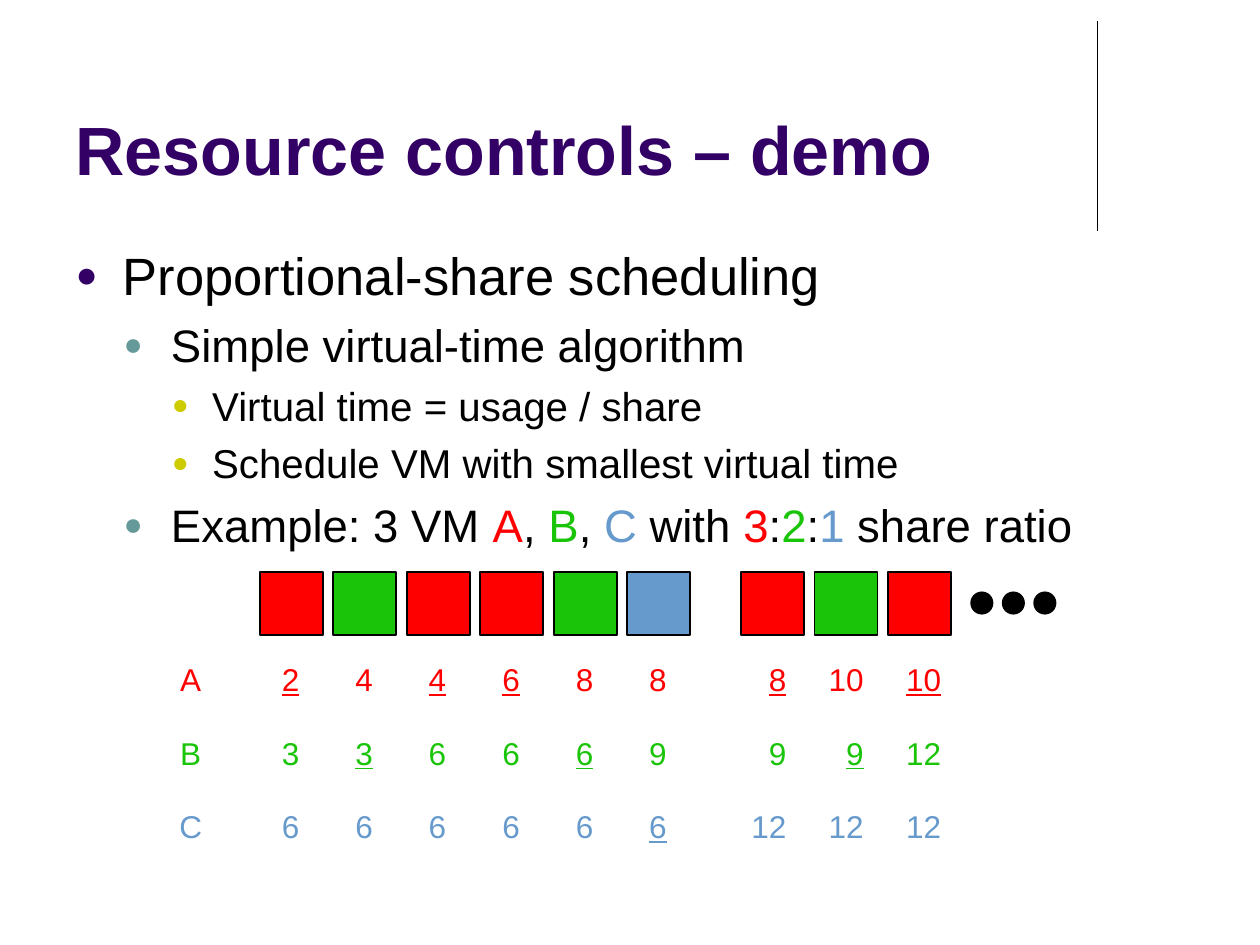
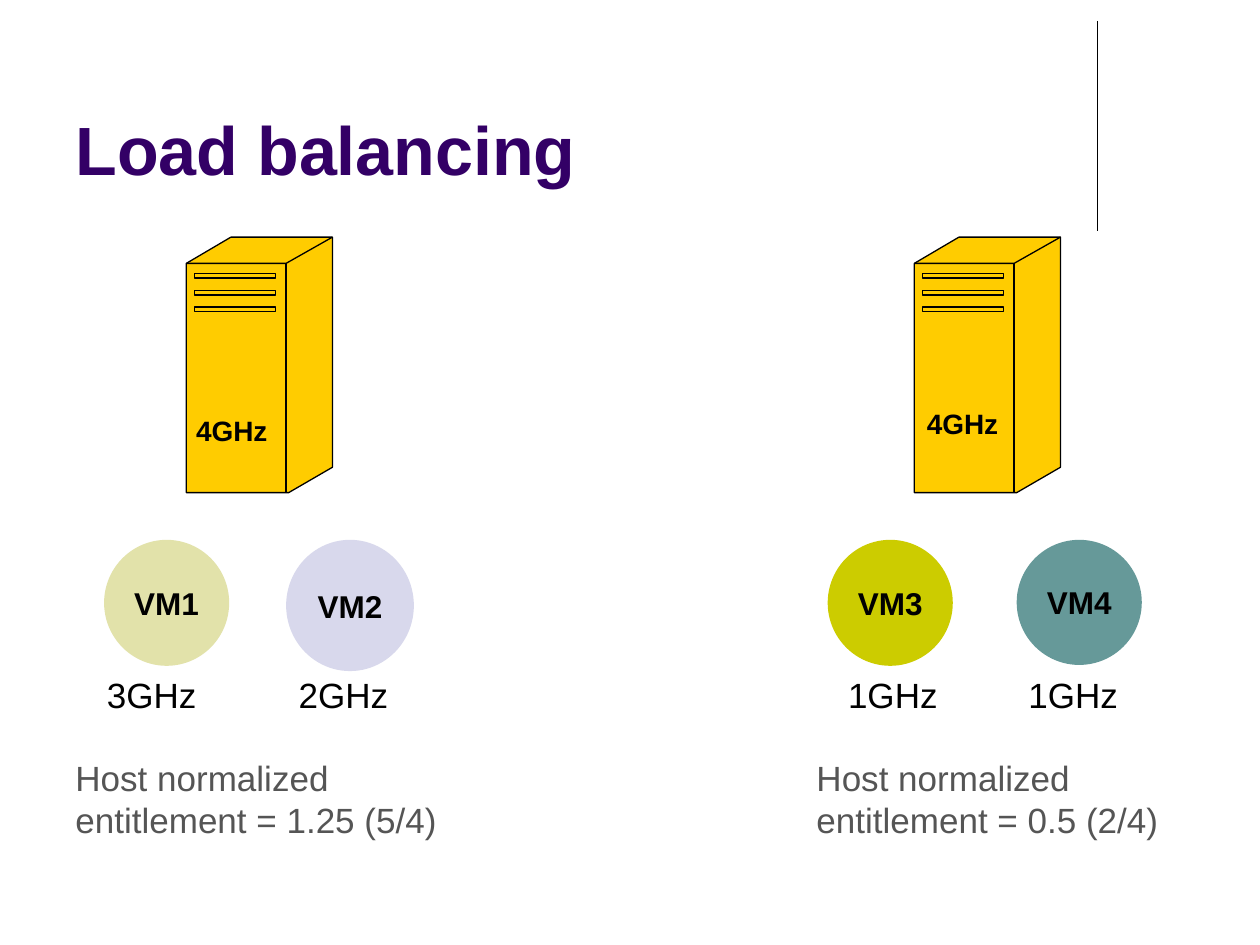
from lxml import etree
from pptx import Presentation, util as u
from pptx.dml.color import RGBColor
from pptx.enum import shapes, text
from pptx.oxml import ns

Pt = u.Pt
FONT = "Arial"
HUES = {
    "ink": "000000", "title": "330066", "teal": "669999", "lime": "CCCC00",
    "A": "FF0000", "B": "1AC408", "C": "6699CC",
    "gold": "FFCC00", "grey": "555555", "sand": "E2E2AA", "lilac": "D8D8EC",
}
ALIGN = {"l": text.PP_ALIGN.LEFT, "c": text.PP_ALIGN.CENTER, "r": text.PP_ALIGN.RIGHT}
ANCHOR = {"t": text.MSO_ANCHOR.TOP, "m": text.MSO_ANCHOR.MIDDLE, "b": text.MSO_ANCHOR.BOTTOM}

# Bullet levels: size, left margin, hanging indent, space before, bullet colour
LEVELS = [(30, 27, 27, 2.5, "title"), (26, 54.5, 27, 6, "teal"), (23, 78, 23, 5.3, "lime")]

# Slide 1: list items, the order of turns and the virtual times
RATIO = [("Example: 3 VM ", "ink"), ("A", "A"), (", ", "ink"), ("B", "B"), (", ", "ink"),
         ("C", "C"), (" with ", "ink"), ("3", "A"), (":", "ink"), ("2", "B"),
         (":", "ink"), ("1", "C"), (" share ratio", "ink")]
ITEMS = [(0, "Proportional-share scheduling"), (1, "Simple virtual-time algorithm"),
         (2, "Virtual time = usage / share"), (2, "Schedule VM with smallest virtual time"),
         (1, RATIO)]
TURNS = "ABAABCABA"
ROUND = 6
TIMES = {"A": [2, 4, 4, 6, 8, 8, 8, 10, 10],
         "B": [3, 3, 6, 6, 6, 9, 9, 9, 12],
         "C": [6, 6, 6, 6, 6, 6, 12, 12, 12]}

# Slide 2: server left, speed label, note, VMs (name, left, width, height, hue, speed, its left)
HOSTS = [
    (106.5, (105, 232.5), (36, 237, "entitlement = 1.25 (5/4)"),
     [("VM1", 59.5, 71.5, 72, "sand", "3GHz", 54),
      ("VM2", 163.5, 73, 75, "lilac", "2GHz", 163.5)]),
    (522.5, (522.5, 229), (459.5, 225, "entitlement = 0.5 (2/4)"),
     [("VM3", 473, 71.5, 72, "lime", "1GHz", 477.5),
      ("VM4", 581, 71.5, 71.5, "teal", "1GHz", 580.5)]),
]


def rgb(hue):
    return RGBColor.from_string(HUES[hue])


def write(frame, lines, size=18, hue="ink", bold=False, under=False,
          align="l", anchor="t", wrap=False):
    """Fill a frame; a line is a string or a list of (words, hue) pairs."""
    frame.word_wrap = wrap
    frame.auto_size = text.MSO_AUTO_SIZE.NONE
    frame.vertical_anchor = ANCHOR[anchor]
    for i, line in enumerate(lines):
        para = frame.paragraphs[0] if i == 0 else frame.add_paragraph()
        para.alignment = ALIGN[align]
        for words, tint in [(line, hue)] if isinstance(line, str) else line:
            run = para.add_run()
            run.text = words
            font = run.font
            font.name, font.size, font.bold = FONT, Pt(size), bold
            font.underline = under
            font.color.rgb = rgb(tint)


def place(shape, x, y, w, h):
    shape.left, shape.top, shape.width, shape.height = Pt(x), Pt(y), Pt(w), Pt(h)


def label(slide, x, y, w, h, *lines, **form):
    box = slide.shapes.add_textbox(Pt(x), Pt(y), Pt(w), Pt(h))
    write(box.text_frame, lines, **form)


def paint(shape, fill=None, line=None, width=1):
    shape.shadow.inherit = False
    if fill:
        shape.fill.solid()
        shape.fill.fore_color.rgb = rgb(fill)
    else:
        shape.fill.background()
    if line:
        shape.line.color.rgb = rgb(line)
        shape.line.width = Pt(width)
    else:
        shape.line.fill.background()


def block(slide, kind, x, y, w, h, fill, line=None):
    shape = slide.shapes.add_shape(kind, Pt(x), Pt(y), Pt(w), Pt(h))
    paint(shape, fill, line)
    return shape


def bullet(para, level):
    size, left, hang, gap, hue = LEVELS[level]
    para.level = level
    para.space_before = Pt(gap)
    for run in para.runs:
        run.font.size = Pt(size)
    props = para._p.get_or_add_pPr()
    props.set("marL", str(Pt(left)))
    props.set("indent", str(-Pt(hang)))
    color = etree.SubElement(props, ns.qn("a:buClr"))
    etree.SubElement(color, ns.qn("a:srgbClr"), val=HUES[hue])
    etree.SubElement(props, ns.qn("a:buSzPct"), val="70000")
    etree.SubElement(props, ns.qn("a:buFont"), typeface=FONT)
    etree.SubElement(props, ns.qn("a:buChar"), char="●")


def page(deck, layout, title):
    """Add a slide with the shared title and the rule beside it."""
    slide = deck.slides.add_slide(deck.slide_layouts[layout])
    rule = slide.shapes.add_connector(
        shapes.MSO_CONNECTOR.STRAIGHT, Pt(627), Pt(12), Pt(627), Pt(132))
    rule.line.color.rgb = rgb("ink")
    rule.line.width = Pt(0.75)
    etree.SubElement(rule._element.spPr, ns.qn("a:effectLst"))
    head = slide.shapes.title
    place(head, 36, 9.5, 594, 102)
    write(head.text_frame, [title], size=39, hue="title", bold=True, anchor="b", wrap=True)
    return slide


def trace(slide, x, runs, fill=None):
    """Draw one freeform from several runs of points, offset by x."""
    runs = [[(Pt(x + px), Pt(py)) for px, py in run] for run in runs]
    pen = slide.shapes.build_freeform(*runs[0][0])
    for i, run in enumerate(runs):
        if i:
            pen.move_to(*run[0])
        pen.add_line_segments(run[1:], close=bool(fill))
    paint(pen.convert_to_shape(), fill, "ink", 0.75)


def server(slide, x):
    top, lid, low, foot = 135.5, 150.5, 267, 281.5
    case = [(0, lid), (25.5, top), (83.5, top), (83.5, low), (58.5, foot), (0, foot)]
    edges = [[(0, lid), (57, lid), (83.5, top)], [(57, lid), (57, foot)]]
    for i in range(3):
        y = 156.2 + 9.6 * i
        edges.append([(4.5, y), (51, y), (51, y + 2.7), (4.5, y + 2.7), (4.5, y)])
    trace(slide, x, [case], "gold")
    trace(slide, x, edges)


def demo(deck):
    slide = page(deck, 1, "Resource controls – demo")
    body = slide.placeholders[1]
    place(body, 36, 135.5, 648, 174)
    write(body.text_frame, [words for _, words in ITEMS], wrap=True)
    for para, (level, _) in zip(body.text_frame.paragraphs, ITEMS):
        bullet(para, level)

    # Turns: one square each, with a gap after the first round
    for i, turn in enumerate(TURNS):
        x = 148.5 + 42 * i + (23 if i >= ROUND else 0)
        block(slide, shapes.MSO_SHAPE.RECTANGLE, x, 327, 36, 36, turn, "ink")
    for i in range(3):
        block(slide, shapes.MSO_SHAPE.OVAL, 555 + 18 * i, 338.5, 12.2, 12.2, "ink", "ink")

    # Virtual times: the VM that gets the turn is underlined
    for row, (name, times) in enumerate(TIMES.items()):
        y = 370 + 42 * row
        label(slide, 95, y, 28, 36, name, hue=name, align="c", anchor="m")
        for i, (time, turn) in enumerate(zip(times, TURNS)):
            if i < ROUND:
                x, w, align = 152.5 + 42 * i, 27, "c"
            else:
                x, w, align = 415.5 + 44.2 * (i - ROUND), 41, "r"
            label(slide, x, y, w, 36, str(time), hue=name, under=turn == name,
                  align=align, anchor="m", wrap=True)


def balance(deck):
    slide = page(deck, 5, "Load balancing")
    for x, (tagx, tagy), (notex, notew, note), guests in HOSTS:
        server(slide, x)
        label(slide, tagx, tagy, 60, 26.5, "4GHz", size=16, bold=True)
        for name, left, w, h, hue, speed, spot in guests:
            disc = block(slide, shapes.MSO_SHAPE.OVAL, left, 308.5, w, h, hue)
            write(disc.text_frame, [name], bold=True, align="c", anchor="m")
            label(slide, spot, 381.5, 70.5, 31, speed, size=20)
        label(slide, notex, 428.5, notew, 55, "Host normalized", note, size=20, hue="grey")


def main():
    deck = Presentation()
    deck.slide_width, deck.slide_height = Pt(720), Pt(540)
    demo(deck)
    balance(deck)
    deck.save("out.pptx")


if __name__ == "__main__":
    main()
